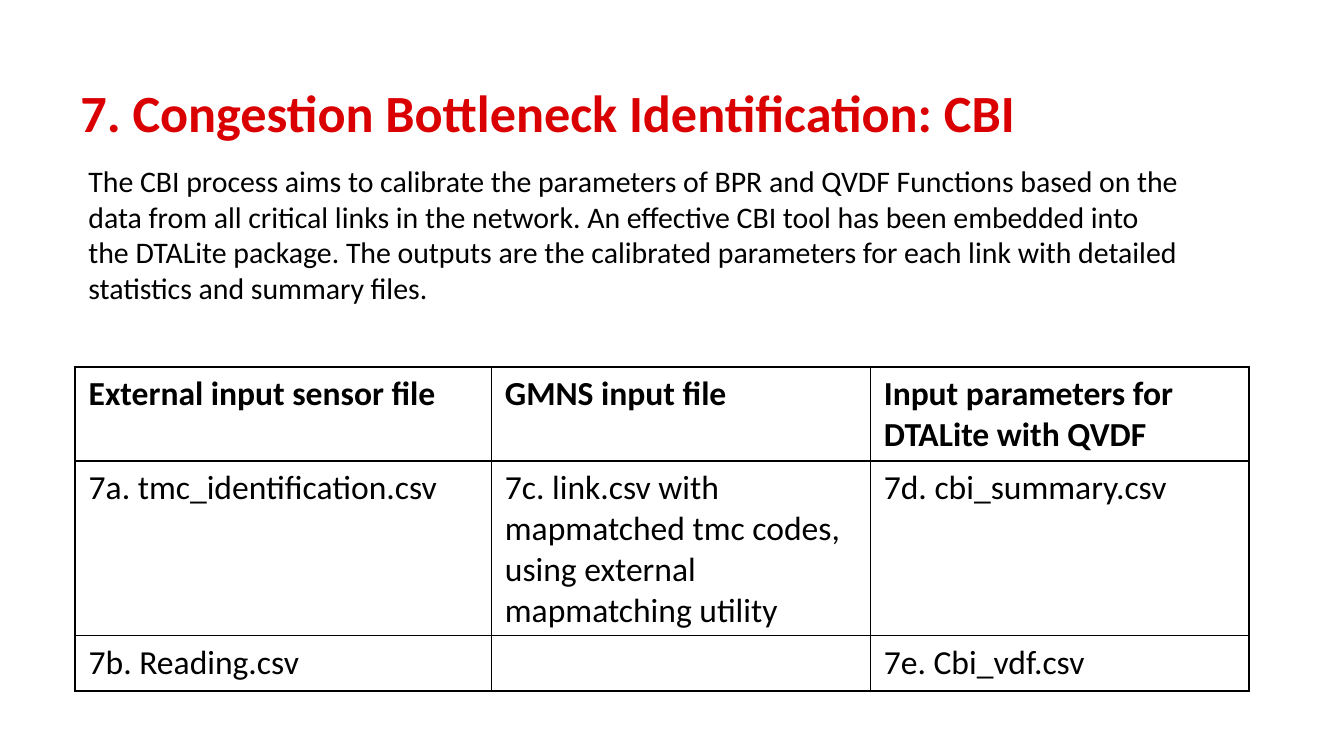
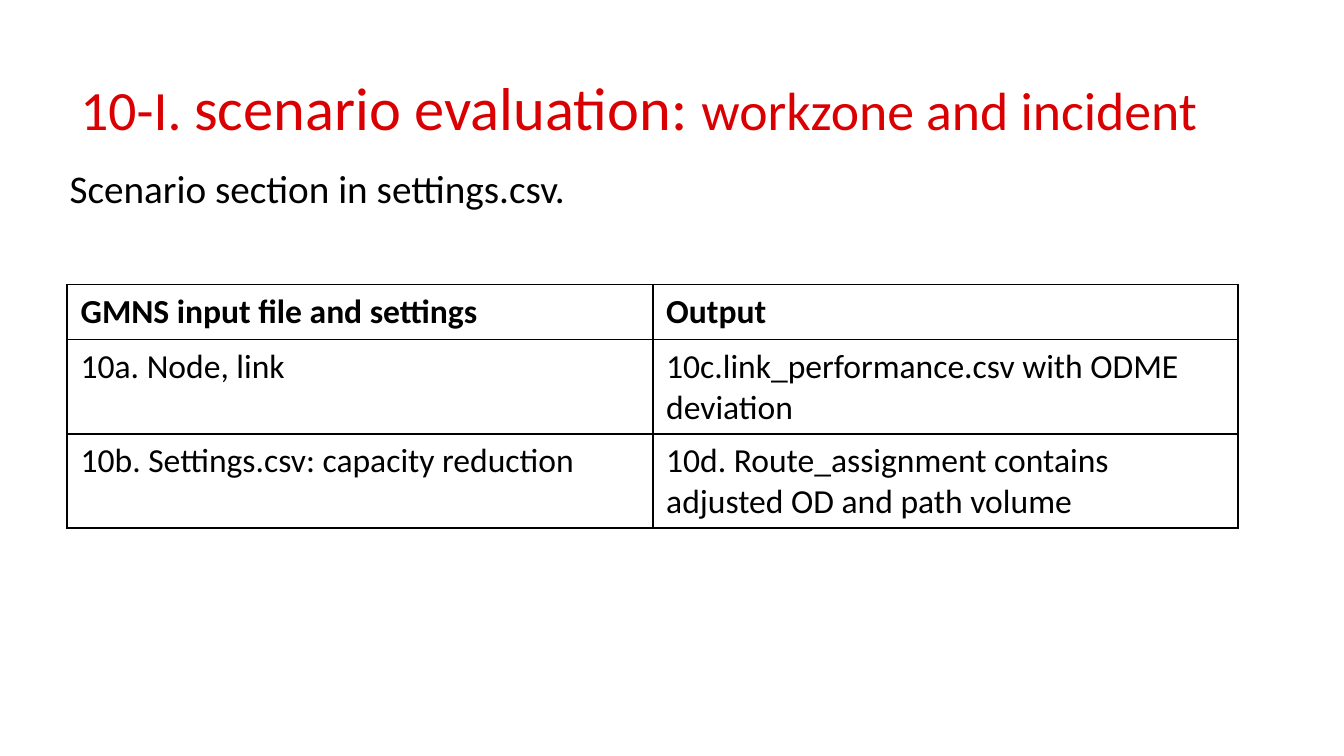
from dataclasses import dataclass

from lxml import etree
from pptx import Presentation
from pptx.dml.color import RGBColor
from pptx.enum import text
from pptx.oxml import ns
from pptx.util import Pt


@dataclass(frozen=True)
class Theme:
    font: str = "Calibri"
    red: str = "DA0002"
    black: str = "000000"
    head: float = 28
    cell: float = 18
    note: float = 16
    lead: float = 21
    rule: float = 1
    row: float = 29.5


class Deck:
    def __init__(self, theme):
        self.theme = theme
        self.prs = Presentation()
        self.prs.slide_width, self.prs.slide_height = Pt(720), Pt(405)
        self.slide = None

    def page(self):
        self.slide = self.prs.slides.add_slide(self.prs.slide_layouts[6])

    def style(self, para, size, color, bold=False):
        font = para.font
        font.name, font.size, font.bold = self.theme.font, Pt(size), bold
        font.color.rgb = RGBColor.from_string(color)

    def box(self, words, area, size, color=None, bold=False, pad=7.2, lines=None):
        """Add a wrapped text box and return its paragraph."""
        frame = self.slide.shapes.add_textbox(*map(Pt, area)).text_frame
        frame.word_wrap = True
        frame.margin_top = frame.margin_bottom = Pt(pad)
        para = frame.paragraphs[0]
        para.text = words
        if lines:
            para.line_spacing = lines
        self.style(para, size, color or self.theme.black, bold)
        return para, frame

    def title(self, parts, bold=False):
        """Add a title from (words, size) parts."""
        para, frame = self.box("", (36, 16.5, 648, 67.7), self.theme.head,
                               self.theme.red, bold, lines=0.9)
        frame.vertical_anchor = text.MSO_ANCHOR.BOTTOM
        for words, size in parts:
            run = para.add_run()
            run.text = words
            if size != self.theme.head:
                run.font.size = Pt(size)

    def edge(self, cell):
        """Draw the four borders of a cell."""
        props = cell._tc.get_or_add_tcPr()
        for spot, side in enumerate(("lnL", "lnR", "lnT", "lnB")):
            line = etree.Element(ns.qn(f"a:{side}"), w=str(Pt(self.theme.rule)))
            fill = etree.SubElement(line, ns.qn("a:solidFill"))
            etree.SubElement(fill, ns.qn("a:srgbClr"), val=self.theme.black)
            props.insert(spot, line)

    def table(self, left, top, widths, rows):
        """Add a ruled table whose first row is bold."""
        grid = self.slide.shapes.add_table(
            len(rows), len(widths), Pt(left), Pt(top),
            Pt(sum(widths)), Pt(self.theme.row * len(rows))).table
        grid.first_row = grid.horz_banding = False
        for col, width in zip(grid.columns, widths):
            col.width = Pt(width)
        for r, row in enumerate(rows):
            grid.rows[r].height = Pt(self.theme.row)
            for c, words in enumerate(row):
                cell = grid.cell(r, c)
                cell.text = words
                cell.fill.background()
                self.edge(cell)
                self.style(cell.text_frame.paragraphs[0], self.theme.cell,
                           self.theme.black, bold=r == 0)


def main():
    theme = Theme()
    deck = Deck(theme)

    # Bottleneck identification
    deck.page()
    deck.title([("7. Congestion Bottleneck Identification: CBI", theme.head)], bold=True)
    deck.table(40.3, 196.5, (223, 203, 203), [
        ("External input sensor file", "GMNS input file",
         "Input parameters for DTALite with QVDF"),
        ("7a. tmc_identification.csv",
         "7c. link.csv with mapmatched tmc codes, using external mapmatching utility",
         "7d. cbi_summary.csv"),
        ("7b. Reading.csv", "", "7e. Cbi_vdf.csv"),
    ])
    deck.box("The CBI process aims to calibrate the parameters of BPR and QVDF Functions "
             "based on the data from all critical links in the network. An effective CBI "
             "tool has been embedded into the DTALite package. The outputs are the "
             "calibrated parameters for each link with detailed statistics and summary "
             "files.", (40.3, 83.5, 600.5, 85), theme.note, pad=3.6)

    # Scenario evaluation
    deck.page()
    deck.title([("10-I. ", 29.7), ("scenario evaluation: ", 32.4),
                ("workzone and incident", 28.8)])
    deck.box("Scenario section in settings.csv.", (30.2, 83.5, 365, 191.5),
             theme.lead, lines=0.9)
    deck.table(36, 152.5, (313.7, 313.7), [
        ("GMNS input file and settings", "Output"),
        ("10a. Node, link", "10c.link_performance.csv with ODME deviation"),
        ("10b. Settings.csv: capacity reduction",
         "10d. Route_assignment contains adjusted OD and path volume"),
    ])

    deck.prs.save("out.pptx")


if __name__ == "__main__":
    main()
